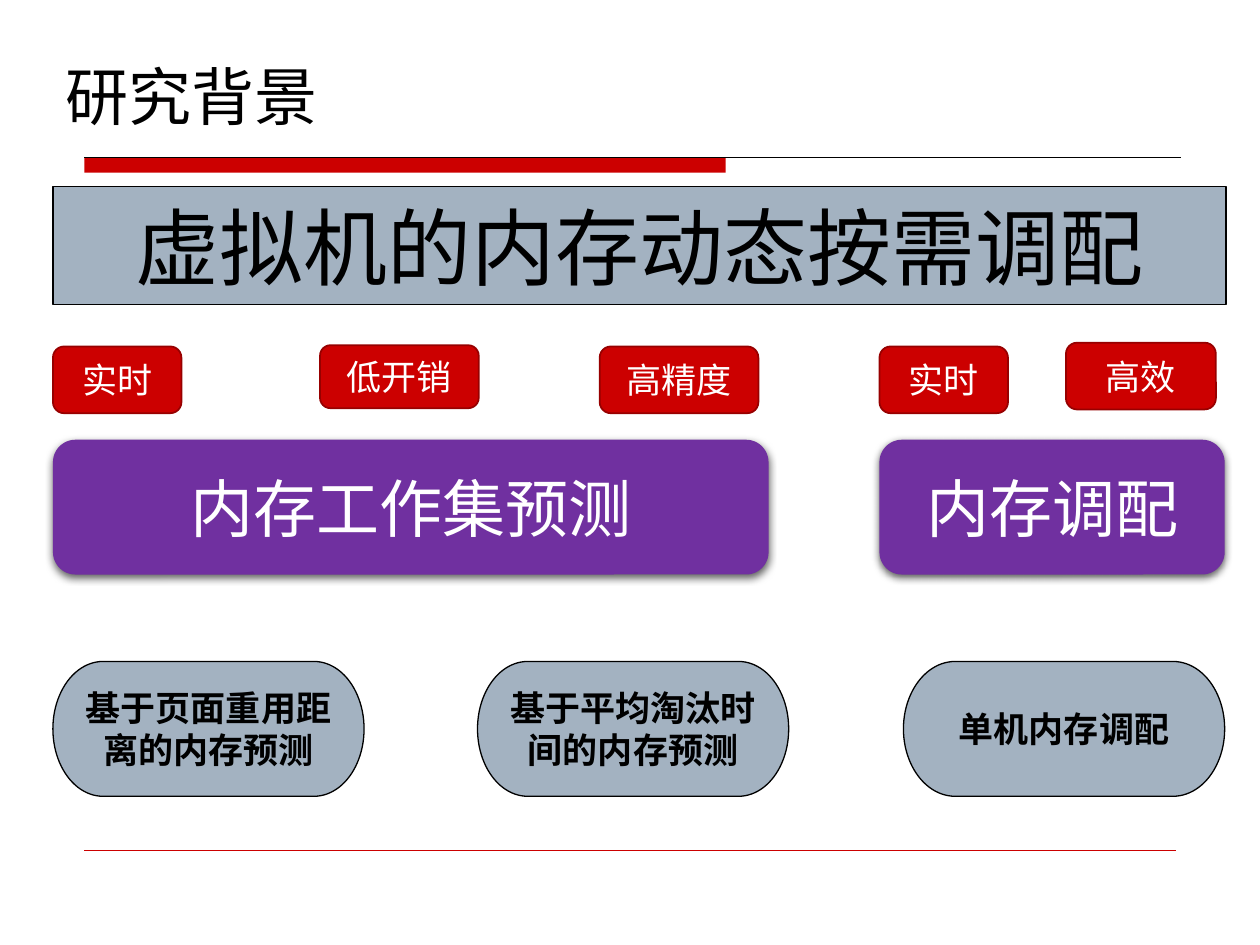
from dataclasses import dataclass
from typing import Optional

from pptx import Presentation, util as u
from pptx.dml.color import RGBColor
from pptx.enum import shapes, text
from pptx.oxml import ns
from lxml import etree

RED = RGBColor(0xCC, 0x00, 0x00)
DARK_RED = RGBColor(0x97, 0x00, 0x00)
PURPLE = RGBColor(0x70, 0x30, 0xA0)
GREY_BLUE = RGBColor(0xA3, 0xB2, 0xC1)
BLACK = RGBColor(0, 0, 0)
WHITE = RGBColor(0xFF, 0xFF, 0xFF)
CJK = "Noto Sans CJK SC"


@dataclass(frozen=True)
class Style:
    kind: shapes.MSO_SHAPE
    fill: RGBColor
    ink: RGBColor
    size: int
    outline: Optional[RGBColor] = None
    weight: float = 0.75
    font: str = CJK
    bold: bool = False
    shadow: bool = False


@dataclass(frozen=True)
class Box:
    label: str
    left: float
    top: float
    width: float
    height: float
    style: Style


BANNER = Style(shapes.MSO_SHAPE.RECTANGLE, GREY_BLUE, BLACK, 48, BLACK)
TAG = Style(shapes.MSO_SHAPE.ROUNDED_RECTANGLE, RED, WHITE, 20, DARK_RED, 1)
STAGE = Style(shapes.MSO_SHAPE.ROUNDED_RECTANGLE, PURPLE, WHITE, 36, shadow=True)
METHOD = Style(shapes.MSO_SHAPE.FLOWCHART_TERMINATOR, GREY_BLUE, BLACK, 20,
               BLACK, font="Arial", bold=True)

LEFT, RIGHT_GROUP = 0.42, 6.98
STAGE_TOP, METHOD_TOP, ROW_HEIGHT = 3.49, 5.25, 1.07
BOXES = [
    Box("虚拟机的内存动态按需调配", LEFT, 1.48, 9.31, 0.94, BANNER),
    # Requirements
    Box("实时", LEFT, 2.75, 1.02, 0.53, TAG),
    Box("低开销", 2.54, 2.74, 1.26, 0.5, TAG),
    Box("高精度", 4.76, 2.75, 1.26, 0.53, TAG),
    Box("实时", RIGHT_GROUP, 2.75, 1.02, 0.53, TAG),
    Box("高效", 8.46, 2.72, 1.19, 0.53, TAG),
    # Stages
    Box("内存工作集预测", LEFT, STAGE_TOP, 5.68, ROW_HEIGHT, STAGE),
    Box("内存调配", RIGHT_GROUP, STAGE_TOP, 2.74, ROW_HEIGHT, STAGE),
    # Methods
    Box("基于页面重用距离的内存预测", LEFT, METHOD_TOP, 2.47, ROW_HEIGHT, METHOD),
    Box("基于平均淘汰时间的内存预测", 3.79, METHOD_TOP, 2.47, ROW_HEIGHT, METHOD),
    Box("单机内存调配", 7.17, METHOD_TOP, 2.55, ROW_HEIGHT, METHOD),
]


def set_all(target, values: dict) -> None:
    for name, value in values.items():
        setattr(target, name, value)


def write(frame, label: str, font: str, size: int, ink: RGBColor,
          align: text.PP_ALIGN, bold: bool = False) -> None:
    paragraph = frame.paragraphs[0]
    paragraph.alignment = align
    run = paragraph.add_run()
    run.text = label
    set_all(run.font, {"name": font, "size": u.Pt(size), "bold": bold})
    run.font.color.rgb = ink
    # East Asian typeface
    east_asian = etree.SubElement(run.font._element, ns.qn("a:ea"))
    east_asian.set("typeface", font)


def add_soft_shadow(shape) -> None:
    effects = shape._element.spPr.find(ns.qn("a:effectLst"))
    outer = etree.SubElement(effects, ns.qn("a:outerShdw"), blurRad=str(u.Pt(4.5)),
                             dist=str(u.Pt(1.5)), dir="5400000", rotWithShape="0")
    color = etree.SubElement(outer, ns.qn("a:srgbClr"), val=str(BLACK))
    etree.SubElement(color, ns.qn("a:alpha"), val="63000")


def add_box(slide, box: Box) -> None:
    style = box.style
    shape = slide.shapes.add_shape(
        style.kind, *map(u.Inches, (box.left, box.top, box.width, box.height)))
    shape.fill.solid()
    shape.fill.fore_color.rgb = style.fill
    if style.outline is None:
        shape.line.fill.background()
    else:
        shape.line.color.rgb = style.outline
        shape.line.width = u.Pt(style.weight)
    shape.shadow.inherit = False
    if style.shadow:
        add_soft_shadow(shape)
    set_all(shape.text_frame, {"word_wrap": True,
                               "vertical_anchor": text.MSO_ANCHOR.MIDDLE})
    write(shape.text_frame, box.label, style.font, style.size, style.ink,
          text.PP_ALIGN.CENTER, style.bold)


def add_rule(slide, right: float, y: float, color: RGBColor, weight: float) -> None:
    rule = slide.shapes.add_connector(
        shapes.MSO_CONNECTOR.STRAIGHT, *map(u.Inches, (0.67, y, right, y)))
    rule.line.color.rgb = color
    rule.line.width = u.Pt(weight)
    etree.SubElement(rule._element.spPr, ns.qn("a:effectLst"))


def main() -> None:
    deck = Presentation()
    set_all(deck, {"slide_width": u.Inches(10), "slide_height": u.Inches(7.5)})
    slide = deck.slides.add_slide(deck.slide_layouts[5])

    # Title
    title = slide.shapes.title
    set_all(title, {"left": u.Inches(LEFT), "top": u.Inches(0.11),
                    "width": u.Inches(8.75), "height": u.Inches(1)})
    title.text_frame.vertical_anchor = text.MSO_ANCHOR.BOTTOM
    write(title.text_frame, "研究背景", CJK, 36, BLACK, text.PP_ALIGN.LEFT)

    # Header bar and rules
    bar = slide.shapes.add_shape(shapes.MSO_SHAPE.RECTANGLE,
                                 *map(u.Inches, (0.67, 1.25, 5.09, 0.12)))
    bar.fill.solid()
    bar.fill.fore_color.rgb = RED
    bar.line.fill.background()
    bar.shadow.inherit = False
    add_rule(slide, 9.37, 1.25, BLACK, 0.75)
    add_rule(slide, 9.33, 6.75, RED, 0.25)

    for box in BOXES:
        add_box(slide, box)
    deck.save("out.pptx")


if __name__ == "__main__":
    main()
